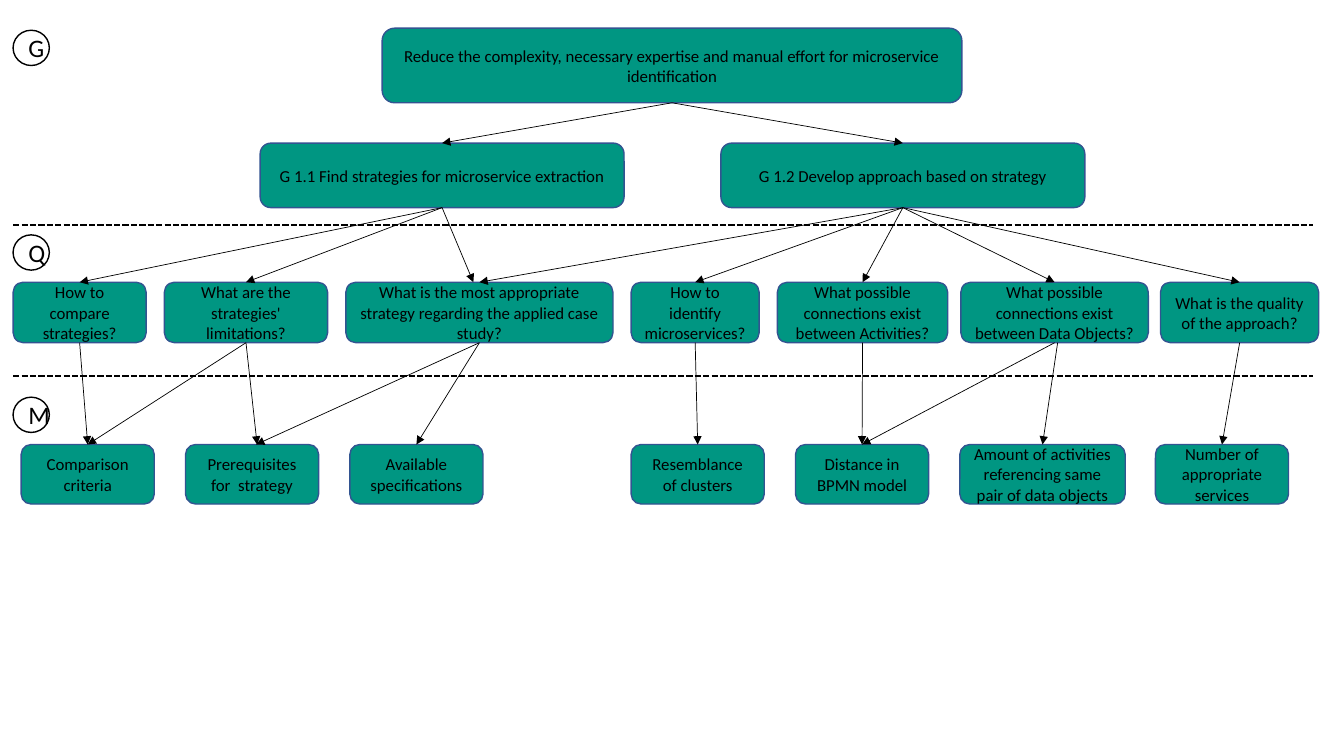
from typing import NamedTuple

from lxml import etree
from pptx import Presentation
from pptx.dml.color import RGBColor
from pptx.enum.dml import MSO_LINE
from pptx.enum.shapes import MSO_CONNECTOR, MSO_SHAPE
from pptx.enum.text import MSO_ANCHOR, PP_ALIGN
from pptx.oxml.ns import qn
from pptx.util import Inches, Pt

GREEN = RGBColor(0x00, 0x96, 0x82)
BLUE = RGBColor(0x32, 0x54, 0x91)
BLACK = RGBColor(0x00, 0x00, 0x00)
WHITE = RGBColor(0xFF, 0xFF, 0xFF)
FONT = "Calibri"

prs = Presentation()
prs.slide_width, prs.slide_height = Inches(13.33), Inches(7.5)
slide = prs.slides.add_slide(prs.slide_layouts[6])
COLUMN = prs.slide_width / 13.33
ROW = prs.slide_height / 7.5
MARGIN = 0.13
METRIC_WIDTH = 1.32
METRIC_STEP = 1.63


class Band(NamedTuple):
    """Vertical extent of one row of boxes."""
    top: float
    height: float


class Box(NamedTuple):
    """A labelled node of the tree."""
    band: Band
    left: float
    width: float
    text: str


class Arrow(NamedTuple):
    """A link between two nodes, with optional shifts of its ends."""
    parent: str
    child: str
    start_shift: float = 0
    end_shift: float = 0


class Level(NamedTuple):
    """Circled letter that names a level."""
    letter: str
    top: float


GOAL, SUBGOAL = Band(0.28, 0.74), Band(1.42, 0.64)
QUESTION, METRIC = Band(2.8, 0.6), Band(4.41, 0.59)


def metric(left: float, text: str, width: float = METRIC_WIDTH) -> Box:
    """Describe a node of the metric level."""
    return Box(METRIC, left, width, text)


BOXES = {
    "goal": Box(GOAL, 3.79, 5.75, "Reduce the complexity, necessary expertise and "
                "manual effort for microservice identification"),
    "strategies": Box(SUBGOAL, 2.58, 3.61, "G 1.1 Find strategies for microservice extraction"),
    "approach": Box(SUBGOAL, 7.15, 3.61, "G 1.2 Develop approach based on strategy"),
    "compare": Box(QUESTION, MARGIN, 1.32, "How to compare strategies?"),
    "limits": Box(QUESTION, 1.63, 1.62, "What are the strategies' limitations?"),
    "best": Box(QUESTION, 3.43, 2.65, "What is the most appropriate strategy "
                "regarding the applied case study?"),
    "identify": Box(QUESTION, 6.26, 1.27, "How to identify microservices?"),
    "activities": Box(QUESTION, 7.71, 1.69, "What possible connections exist between Activities?"),
    "data": Box(QUESTION, 9.53, 1.86, "What possible connections exist between Data Objects?"),
    "quality": Box(QUESTION, 11.51, 1.57, "What is the quality of the approach?"),
    "criteria": metric(0.21, "Comparison criteria"),
    "prerequisites": metric(0.21 + METRIC_STEP, "Prerequisites for  strategy"),
    "specifications": metric(0.21 + 2 * METRIC_STEP, "Available specifications"),
    "clusters": metric(6.26, "Resemblance of clusters"),
    "distance": metric(6.26 + METRIC_STEP, "Distance in BPMN model"),
    "amount": metric(6.26 + 2 * METRIC_STEP, "Amount of activities referencing same "
                     "pair of data objects", 1.64),
    "services": metric(11.46, "Number of appropriate services"),
}
ARROWS = [
    Arrow("goal", "strategies"), Arrow("goal", "approach"),
    Arrow("strategies", "compare"), Arrow("strategies", "limits"),
    Arrow("strategies", "best", end_shift=-0.06),
    Arrow("approach", "best"), Arrow("approach", "identify"),
    Arrow("approach", "activities"), Arrow("approach", "data"),
    Arrow("approach", "quality"),
    Arrow("compare", "criteria"), Arrow("limits", "criteria"),
    Arrow("limits", "prerequisites", end_shift=0.05),
    Arrow("best", "prerequisites", end_shift=0.04), Arrow("best", "specifications"),
    Arrow("identify", "clusters"), Arrow("activities", "distance"),
    Arrow("data", "distance"), Arrow("data", "amount", start_shift=0.03),
    Arrow("quality", "services"),
]
LEVELS = [Level("G", 0.3), Level("Q", 2.33), Level("M", 3.94)]
DIVIDERS = [2.23, 3.73]


def add_label_shape(kind, left: float, band: Band, width: float, text: str,
                    size: int, fill: RGBColor, outline: RGBColor):
    """Add a filled preset shape with centred black text."""
    shape = slide.shapes.add_shape(kind, round(left * COLUMN), round(band.top * ROW),
                                   round(width * COLUMN), round(band.height * ROW))
    shape.shadow.inherit = False
    shape.fill.solid()
    shape.fill.fore_color.rgb = fill
    shape.line.color.rgb = outline
    shape.line.width = Pt(1)
    frame = shape.text_frame
    frame.word_wrap = True
    frame.vertical_anchor = MSO_ANCHOR.MIDDLE
    paragraph = frame.paragraphs[0]
    paragraph.alignment = PP_ALIGN.CENTER
    run = paragraph.add_run()
    run.text = text
    run.font.name, run.font.size = FONT, Pt(size)
    run.font.color.rgb = BLACK
    return shape


def add_line(x1: float, y1: float, x2: float, y2: float, weight: float):
    """Add a straight black line without a shadow."""
    line = slide.shapes.add_connector(
        MSO_CONNECTOR.STRAIGHT, round(x1 * COLUMN), round(y1 * ROW),
        round(x2 * COLUMN), round(y2 * ROW))
    line.line.color.rgb = BLACK
    line.line.width = Pt(weight)
    etree.SubElement(line._element.spPr, qn("a:effectLst"))
    return line


def add_arrow(arrow: Arrow, shapes: dict) -> None:
    """Link the bottom of the parent to the top of the child."""
    parent, child = BOXES[arrow.parent], BOXES[arrow.child]
    line = add_line(parent.left + parent.width / 2 + arrow.start_shift,
                    parent.band.top + parent.band.height,
                    child.left + child.width / 2 + arrow.end_shift,
                    child.band.top, 0.5)
    etree.SubElement(line.line._get_or_add_ln(), qn("a:tailEnd"), type="triangle")
    if not arrow.start_shift:
        line.begin_connect(shapes[arrow.parent], 2)
    if not arrow.end_shift:
        line.end_connect(shapes[arrow.child], 0)


for y in DIVIDERS:
    add_line(MARGIN, y, 13.02, y, 1.5).line.dash_style = MSO_LINE.SQUARE_DOT
nodes = {name: add_label_shape(MSO_SHAPE.ROUNDED_RECTANGLE, box.left, box.band, box.width,
                               box.text, 12, GREEN, BLUE)
         for name, box in BOXES.items()}
for link in ARROWS:
    add_arrow(link, nodes)
for level in LEVELS:
    add_label_shape(MSO_SHAPE.OVAL, MARGIN, Band(level.top, 0.35), 0.36,
                    level.letter, 18, WHITE, BLACK)

prs.save("out.pptx")
